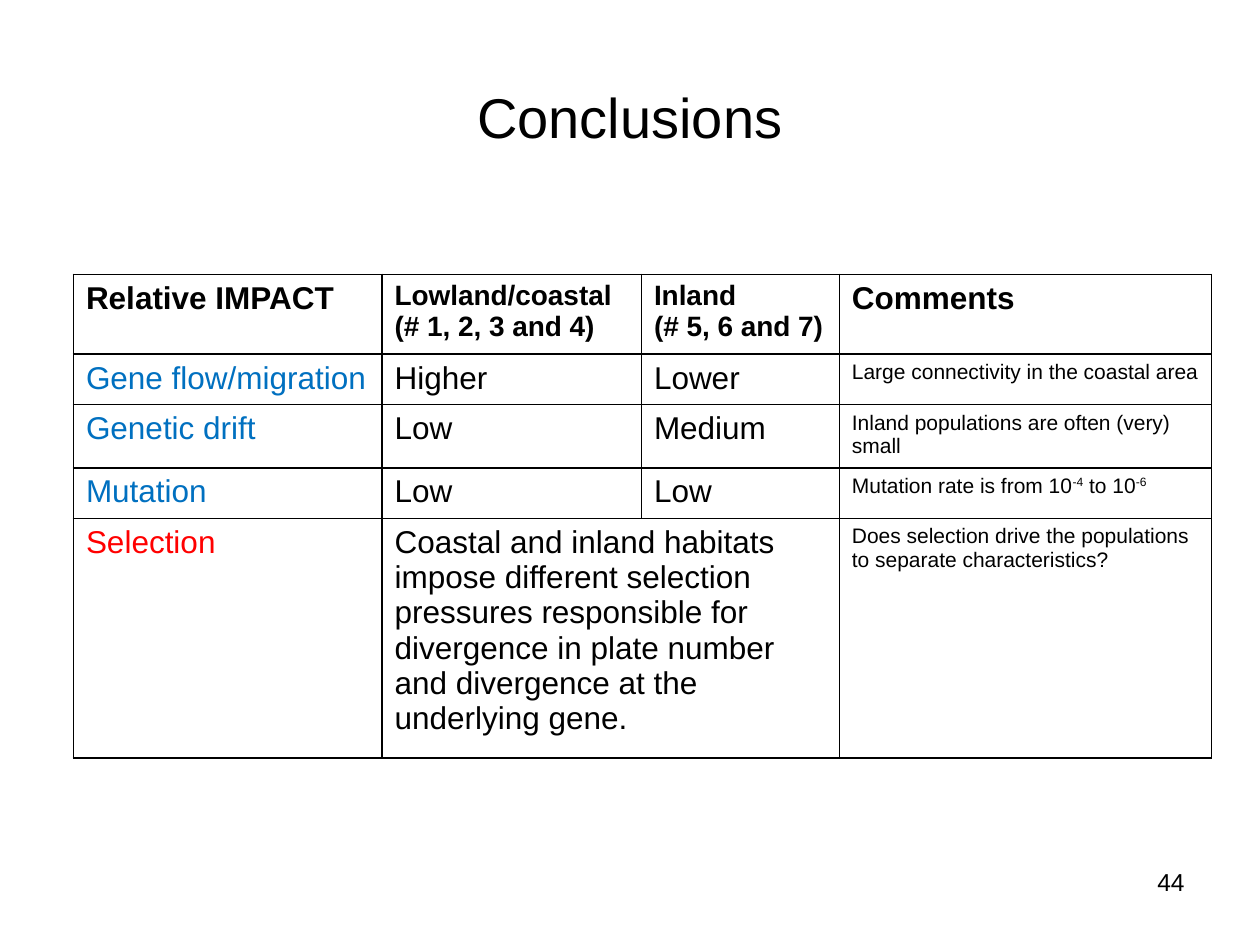
import pptx
import pptx.util
import pptx.dml.color
import pptx.enum.text
import pptx.oxml.ns
import lxml.etree

Cm = pptx.util.Cm
Pt = pptx.util.Pt
BLACK = pptx.dml.color.RGBColor(0x00, 0x00, 0x00)
WHITE = pptx.dml.color.RGBColor(0xFF, 0xFF, 0xFF)
BLUE = pptx.dml.color.RGBColor(0x00, 0x70, 0xC0)
RED = pptx.dml.color.RGBColor(0xFF, 0x00, 0x00)

COLUMN_WIDTHS = (6.22, 5.23, 3.99, 7.5)
ROW_HEIGHTS = (1.6, 1.02, 1.27, 1.02, 4.83)
HEADINGS = (
    ("Relative IMPACT", 18),
    ("Lowland/coastal\n(# 1, 2, 3 and 4)", 16),
    ("Inland\n(# 5, 6 and 7)", 16),
    ("Comments", 18),
)
FORCES = (
    ("Gene flow/migration", BLUE, "Higher", "Lower",
     ("Large connectivity in the coastal area",)),
    ("Genetic drift", BLUE, "Low", "Medium",
     ("Inland populations are often (very) small",)),
    ("Mutation", BLUE, "Low", "Low",
     ("Mutation rate is from 10", "-4", " to 10", "-6")),
    ("Selection", RED,
     "Coastal and inland habitats impose different selection pressures "
     "responsible for divergence in plate number and divergence at the "
     "underlying gene.", None,
     ("Does selection drive the populations to separate characteristics?",)),
)


def add_run(paragraph, words, size, color=BLACK, bold=False, raised=False):
    run = paragraph.add_run()
    run.text = words
    run.font.name = "Arial"
    run.font.size = Pt(size)
    run.font.bold = bold
    run.font.color.rgb = color
    if raised:
        run.font._element.set("baseline", "30000")


def outline_cell(cell):
    properties = cell._tc.get_or_add_tcPr()
    for side in ("lnL", "lnR", "lnT", "lnB"):
        border = lxml.etree.SubElement(
            properties, pptx.oxml.ns.qn(f"a:{side}"), w=str(Pt(1)))
        paint = lxml.etree.SubElement(border, pptx.oxml.ns.qn("a:solidFill"))
        lxml.etree.SubElement(
            paint, pptx.oxml.ns.qn("a:srgbClr"), val=str(BLACK))
    cell.fill.solid()
    cell.fill.fore_color.rgb = WHITE


def write_cell(cell, words, size, color=BLACK, bold=False):
    for index, line in enumerate(words.split("\n")):
        frame = cell.text_frame
        paragraph = frame.add_paragraph() if index else frame.paragraphs[0]
        add_run(paragraph, line, size, color, bold)


def place_title(slide, left, top, width, height):
    title = slide.shapes.title
    title.left, title.top = Cm(left), Cm(top)
    title.width, title.height = Cm(width), Cm(height)
    title.text_frame.vertical_anchor = pptx.enum.text.MSO_ANCHOR.MIDDLE
    heading = title.text_frame.paragraphs[0]
    heading.alignment = pptx.enum.text.PP_ALIGN.CENTER
    add_run(heading, "Conclusions", 32)


def place_impact_table(slide, left, top):
    impact = slide.shapes.add_table(
        len(ROW_HEIGHTS), len(COLUMN_WIDTHS), Cm(left), Cm(top),
        Cm(sum(COLUMN_WIDTHS)), Cm(sum(ROW_HEIGHTS))).table
    impact.first_row = False
    impact.horz_banding = False
    for column, width in zip(impact.columns, COLUMN_WIDTHS):
        column.width = Cm(width)
    for row, height in zip(impact.rows, ROW_HEIGHTS):
        row.height = Cm(height)
    for cell in impact.iter_cells():
        outline_cell(cell)

    for column, (heading, size) in enumerate(HEADINGS):
        write_cell(impact.cell(0, column), heading, size, bold=True)
    for row, (force, color, coastal, inland, comment) in enumerate(FORCES, 1):
        write_cell(impact.cell(row, 0), force, 18, color)
        write_cell(impact.cell(row, 1), coastal, 18)
        if inland is None:
            impact.cell(row, 1).merge(impact.cell(row, 2))
        else:
            write_cell(impact.cell(row, 2), inland, 18)
        remark = impact.cell(row, 3).text_frame.paragraphs[0]
        for index, part in enumerate(comment):
            add_run(remark, part, 12, raised=index % 2 == 1)


def place_page_number(slide, left, top, width, height):
    page = slide.shapes.add_textbox(
        Cm(left), Cm(top), Cm(width), Cm(height)).text_frame
    page.word_wrap = True
    page.paragraphs[0].alignment = pptx.enum.text.PP_ALIGN.RIGHT
    add_run(page.paragraphs[0], "44", 14)


def main():
    deck = pptx.Presentation()
    deck.slide_width, deck.slide_height = Cm(25.4), Cm(19.05)
    slide = deck.slides.add_slide(deck.slide_layouts[5])
    place_page_number(slide, 18.2, 17.35, 5.93, 1.32)
    place_title(slide, 1.27, 0.76, 22.86, 3.18)
    place_impact_table(slide, 1.48, 5.53)
    deck.save("out.pptx")


if __name__ == "__main__":
    main()
